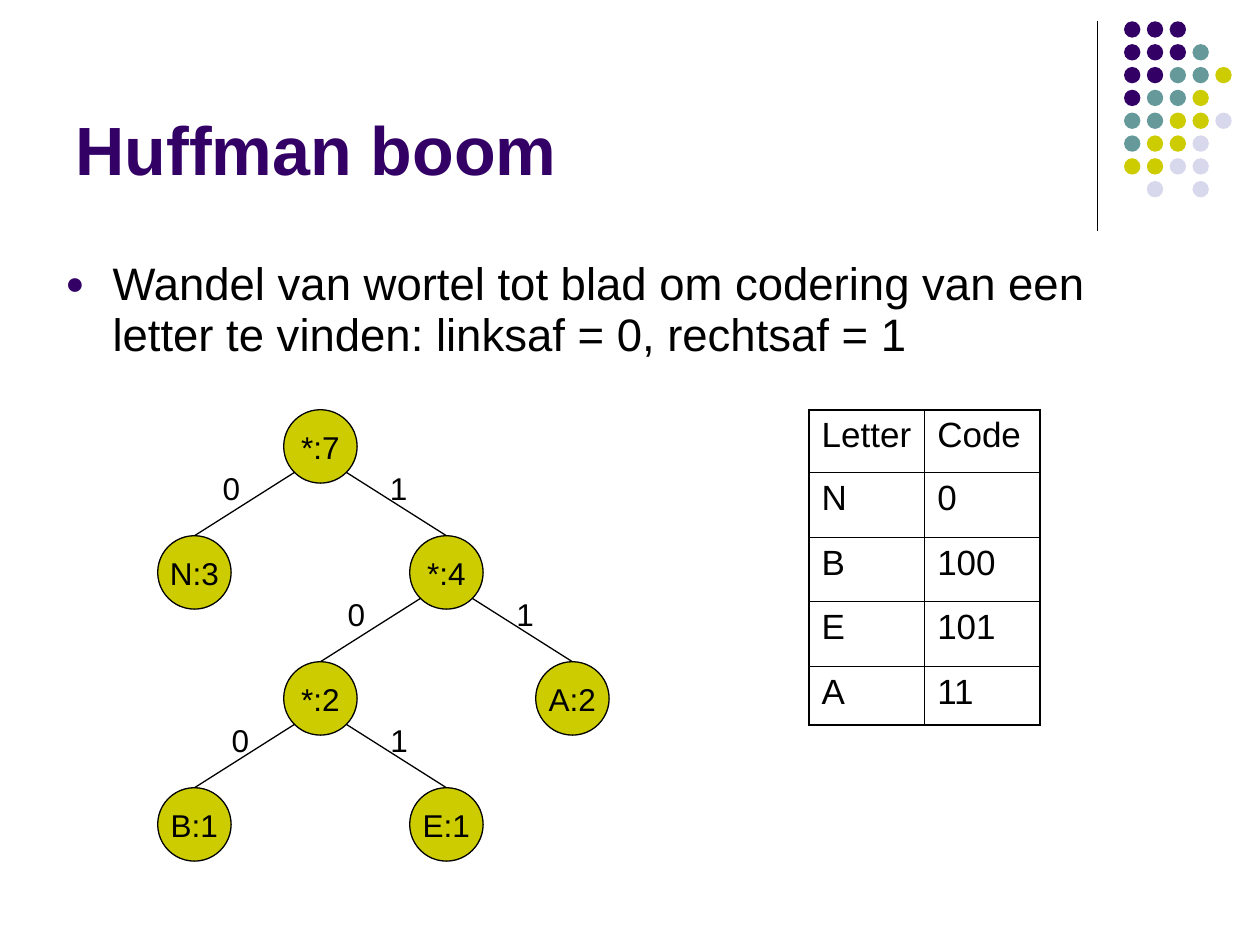
from math import sqrt

from lxml import etree
from pptx import Presentation
from pptx.dml.color import RGBColor
from pptx.enum.shapes import MSO_CONNECTOR, MSO_SHAPE
from pptx.enum.text import MSO_ANCHOR, MSO_AUTO_SIZE, PP_ALIGN
from pptx.oxml.ns import qn
from pptx.util import Cm, Pt

LINE = MSO_CONNECTOR.STRAIGHT
OVAL = MSO_SHAPE.OVAL
MIDDLE = MSO_ANCHOR.MIDDLE
BOTTOM = MSO_ANCHOR.BOTTOM
GROW = MSO_AUTO_SIZE.SHAPE_TO_FIT_TEXT
CENTER = PP_ALIGN.CENTER

BLACK = RGBColor(0x00, 0x00, 0x00)
PURPLE = RGBColor(0x33, 0x00, 0x66)
TEAL = RGBColor(0x66, 0x99, 0x99)
LIME = RGBColor(0xCC, 0xCC, 0x00)
PALE = RGBColor(0xD8, 0xD8, 0xEC)

INKS = {"P": PURPLE, "T": TEAL, "L": LIME, "G": PALE}
DOTS = ["PPP", "PPPT", "PPTTL", "PTTL", "TTLLG", "TLLG", "LLGG", " G G"]

NODES = {
    "*:7": (1, 0), "*:4": (2, 1), "N:3": (0, 1), "*:2": (1, 2),
    "A:2": (3, 2), "E:1": (2, 3), "B:1": (0, 3),
}
EDGES = [
    ("*:7", "N:3", "0", -1.48), ("*:7", "*:4", "1", 1.89),
    ("*:4", "*:2", "0", -1.5), ("*:4", "A:2", "1", 1.9),
    ("*:2", "B:1", "0", -1.3), ("*:2", "E:1", "1", 1.9),
]
CODES = [("Letter", "Code"), ("N", "0"), ("B", "100"), ("E", "101"), ("A", "11")]


def apply(item, **values):
    for name, value in values.items():
        setattr(item, name, value)


def write(frame, text, size, color=BLACK, bold=False, **values):
    para = frame.paragraphs[0]
    apply(para, **values)
    run = para.add_run()
    run.text = text
    apply(run.font, name="Arial", size=Pt(size), bold=bold)
    run.font.color.rgb = color
    return para


def add_text(slide, box, **values):
    frame = slide.shapes.add_textbox(*map(Cm, box)).text_frame
    apply(frame, **values)
    return frame


def add_line(slide, start, end):
    line = slide.shapes.add_connector(LINE, *map(Cm, start + end))
    line.line.color.rgb = BLACK
    line.line.width = Pt(0.75)
    etree.SubElement(line.line._get_or_add_ln().getparent(), qn("a:effectLst"))
    return line


def add_oval(shapes, box, color):
    oval = shapes.add_shape(OVAL, *map(Cm, box))
    oval.shadow.inherit = False
    oval.fill.solid()
    oval.fill.fore_color.rgb = color
    oval.line.fill.background()
    return oval


def draw_dots(slide, left, top, step=0.46, size=0.33):
    add_line(slide, (left - 0.54, top), (left - 0.54, top + 4.22))
    group = slide.shapes.add_group_shape()
    for row, marks in enumerate(DOTS):
        for col, mark in enumerate(marks):
            if mark in INKS:
                box = (left + col * step, top + row * step, size, size)
                add_oval(group.shapes, box, INKS[mark])


def draw_title(slide, box):
    frame = add_text(slide, box, word_wrap=True, vertical_anchor=BOTTOM)
    write(frame, "Huffman boom", 39, PURPLE, True)


def draw_body(slide, box):
    frame = add_text(slide, box, word_wrap=True)
    text = ("Wandel van wortel tot blad om codering van een "
            "letter te vinden: linksaf = 0, rechtsaf = 1")
    para = write(frame, text, 26, line_spacing=0.94, space_before=Pt(6.5))
    props = para._p.get_or_add_pPr()
    props.set("marL", str(Cm(0.95)))
    props.set("indent", str(-Cm(0.95)))
    tint = etree.SubElement(props, qn("a:buClr"))
    etree.SubElement(tint, qn("a:srgbClr"), val=str(PURPLE))
    etree.SubElement(props, qn("a:buSzPct"), val="70000")
    etree.SubElement(props, qn("a:buFont"), typeface="Arial")
    etree.SubElement(props, qn("a:buChar"), char="●")


def draw_tree(slide, left, top, step=2.54, size=1.48):
    spots = {name: (left + col * step, top + row * step)
             for name, (col, row) in NODES.items()}
    ovals = {}
    for name, spot in spots.items():
        oval = add_oval(slide.shapes, spot + (size, size), LIME)
        oval.line.color.rgb = BLACK
        oval.line.width = Pt(0.75)
        apply(oval.text_frame, word_wrap=False, vertical_anchor=MIDDLE)
        write(oval.text_frame, name, 18, alignment=CENTER)
        ovals[name] = oval

    half = size / 2
    reach = half / sqrt(2)
    for head, child, bit, shift in EDGES:
        x, y = spots[head]
        side = 1 if bit == "1" else -1
        start = (x + half + side * reach, y + half + reach)
        end = (spots[child][0] + half, spots[child][1])
        add_line(slide, start, end).end_connect(ovals[child], 0)
        frame = add_text(slide, (x + shift, y + 1.08, 0.86, 1.02),
                         word_wrap=False, auto_size=GROW)
        write(frame, bit, 18)


def add_edge(cell, side, width):
    edge = etree.SubElement(cell._tc.get_or_add_tcPr(), qn("a:ln" + side),
                            w=str(Pt(width)))
    fill = etree.SubElement(edge, qn("a:solidFill"))
    etree.SubElement(fill, qn("a:srgbClr"), val=str(BLACK))


def draw_codes(slide, box):
    rows, cols = len(CODES), len(CODES[0])
    table = slide.shapes.add_table(rows, cols, *map(Cm, box)).table
    apply(table, first_row=False, horz_banding=False)
    for row, high in zip(table.rows, (1.27, 1.3, 1.3, 1.3, 1.19)):
        row.height = Cm(high)
    for r, texts in enumerate(CODES):
        for c, text in enumerate(texts):
            cell = table.cell(r, c)
            write(cell.text_frame, text, 20, space_before=Pt(5))
            outer = {"L": c == 0, "R": c == cols - 1,
                     "T": r == 0, "B": r == rows - 1}
            for side, rim in outer.items():
                add_edge(cell, side, 1.08 if rim else 0.45)
            cell.fill.background()


def main():
    deck = Presentation()
    apply(deck, slide_width=Cm(25.4), slide_height=Cm(19.05))
    slide = deck.slides.add_slide(deck.slide_layouts[6])
    draw_dots(slide, 22.66, 0.43)
    draw_title(slide, (1.27, 0.33, 20.96, 3.61))
    draw_tree(slide, 3.18, 8.26)
    draw_codes(slide, (16.31, 8.26, 4.66, 6.36))
    draw_body(slide, (1.07, 5.11, 22.86, 2.31))
    deck.save("out.pptx")


if __name__ == "__main__":
    main()
